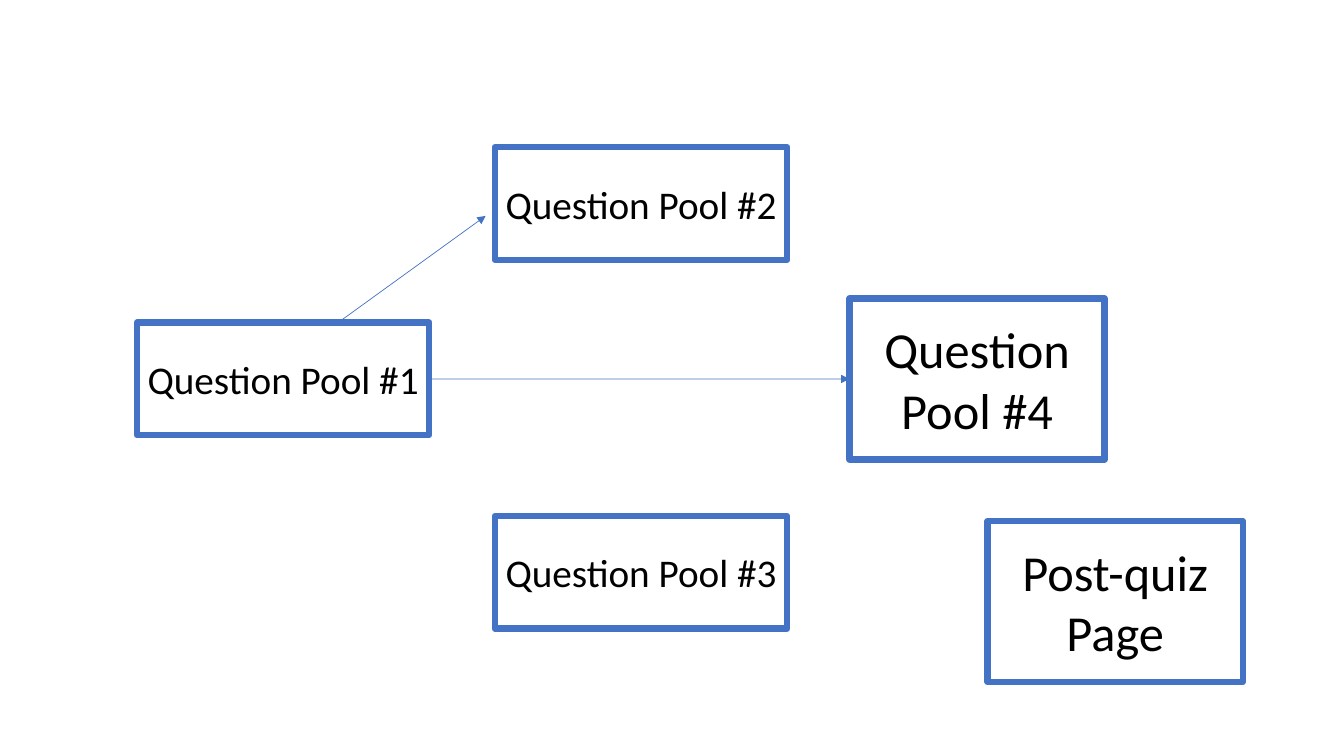
from dataclasses import dataclass

from lxml import etree
from pptx import Presentation
from pptx.dml.color import RGBColor
from pptx.enum.shapes import MSO_CONNECTOR, MSO_SHAPE
from pptx.enum.text import MSO_ANCHOR, PP_ALIGN
from pptx.oxml.ns import qn
from pptx.util import Cm, Pt

RECTANGLE = MSO_SHAPE.RECTANGLE
STRAIGHT = MSO_CONNECTOR.STRAIGHT
MIDDLE = MSO_ANCHOR.MIDDLE
CENTER = PP_ALIGN.CENTER
LEFT_SIDE, RIGHT_SIDE = 1, 3
BLANK_LAYOUT = 6


@dataclass(frozen=True)
class Theme:
    font: str = "Calibri"
    ink: RGBColor = RGBColor(0x00, 0x00, 0x00)
    paper: RGBColor = RGBColor(0xFF, 0xFF, 0xFF)
    accent: RGBColor = RGBColor(0x44, 0x72, 0xC4)
    border: Pt = Pt(4.5)
    arrow: Pt = Pt(0.5)


@dataclass(frozen=True)
class StepStyle:
    width: Cm
    height: Cm
    text_size: Pt


THEME = Theme()
SMALL = StepStyle(Cm(7.37), Cm(2.84), Pt(28))
LARGE = StepStyle(Cm(6.43), Cm(4.06), Pt(36))


def add_step(slide, label, left, top, style):
    step = slide.shapes.add_shape(RECTANGLE, left, top, style.width, style.height)
    step.shadow.inherit = False
    step.fill.solid()
    step.fill.fore_color.rgb = THEME.paper
    step.line.color.rgb = THEME.accent
    step.line.width = THEME.border
    frame = step.text_frame
    frame.word_wrap = True
    frame.vertical_anchor = MIDDLE
    paragraph = frame.paragraphs[0]
    paragraph.text = label
    paragraph.alignment = CENTER
    paragraph.font.name = THEME.font
    paragraph.font.size = style.text_size
    paragraph.font.color.rgb = THEME.ink
    return step


def add_arrow(slide, start_x, start_y, end_x, end_y):
    arrow = slide.shapes.add_connector(STRAIGHT, start_x, start_y, end_x, end_y)
    arrow.line.color.rgb = THEME.accent
    arrow.line.width = THEME.arrow
    etree.SubElement(arrow.line._get_or_add_ln(), qn("a:tailEnd"), type="triangle")
    etree.SubElement(arrow._element.spPr, qn("a:effectLst"))
    return arrow


def add_quiz_flow(slide, left, top):
    """Place the question pools, their arrows and the closing page from a top left corner."""
    branch_left = left + Cm(9.02)
    add_step(slide, "Question Pool #3", branch_left, top + Cm(9.29), SMALL)
    add_step(slide, "Question Pool #2", branch_left, top, SMALL)
    pool_4 = add_step(slide, "Question Pool #4", left + Cm(17.96), top + Cm(3.81), LARGE)
    pool_1 = add_step(slide, "Question Pool #1", left, top + Cm(4.42), SMALL)

    add_arrow(slide, left + Cm(5.11), top + Cm(4.39), left + Cm(8.79), top + Cm(1.73))
    middle = pool_1.top + pool_1.height // 2
    to_pool_4 = add_arrow(slide, pool_1.left + pool_1.width, middle, pool_4.left, middle)
    to_pool_4.begin_connect(pool_1, RIGHT_SIDE)
    to_pool_4.end_connect(pool_4, LEFT_SIDE)

    add_step(slide, "Post-quiz Page", left + Cm(21.44), top + Cm(9.42), LARGE)


def main():
    presentation = Presentation()
    presentation.slide_width = Cm(33.87)
    presentation.slide_height = Cm(19.05)
    slide = presentation.slides.add_slide(presentation.slide_layouts[BLANK_LAYOUT])
    add_quiz_flow(slide, Cm(3.45), Cm(3.71))
    presentation.save("out.pptx")


if __name__ == "__main__":
    main()
